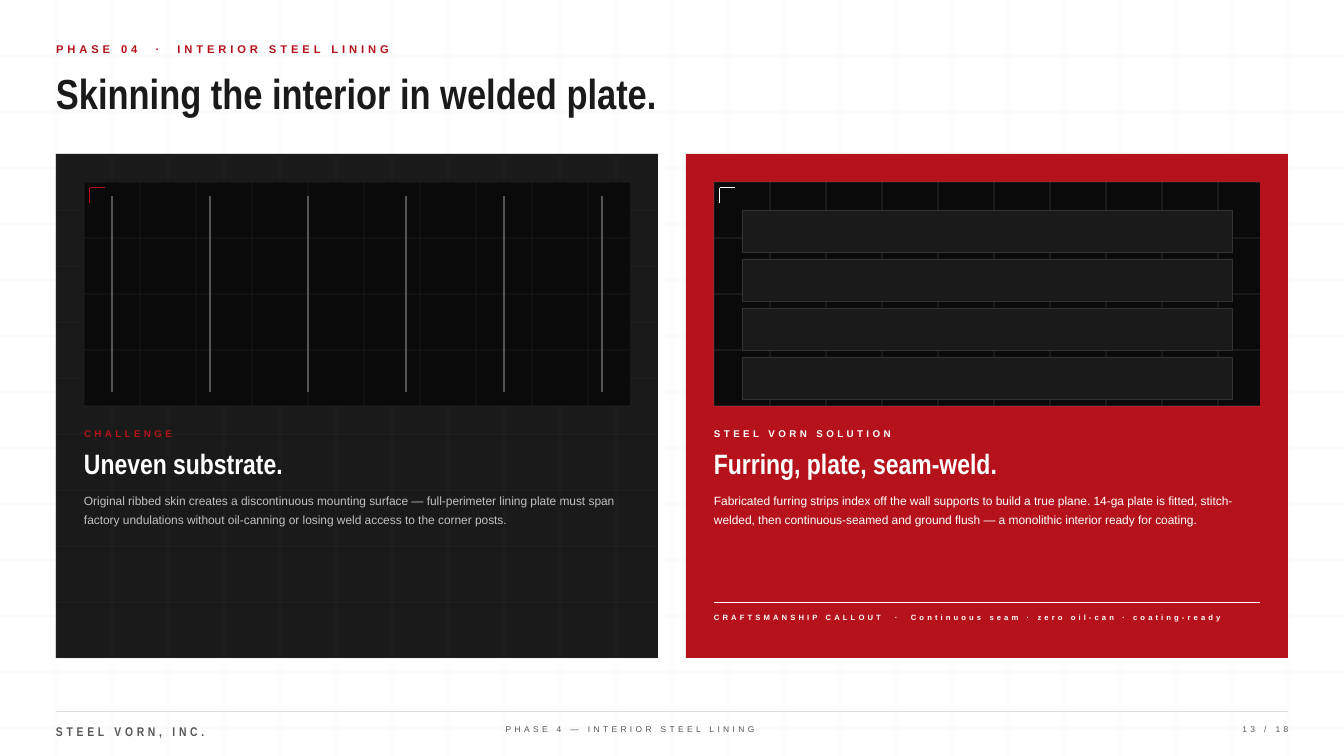
import math
from dataclasses import dataclass
from typing import Callable, NamedTuple

import pptx
import pptx.dml.color
import pptx.enum.shapes
import pptx.enum.text
import pptx.oxml
import pptx.oxml.ns
import pptx.util

Inches = pptx.util.Inches
Pt = pptx.util.Pt
ALIGN = pptx.enum.text.PP_ALIGN


class Style(NamedTuple):
    size: float
    leading: float
    font: str = "Arial"
    bold: bool = False
    tracking: float = 0


@dataclass(frozen=True)
class Theme:
    white: str = "FFFFFF"
    ink: str = "1A1A1A"
    black: str = "0A0A0A"
    red: str = "B5121B"
    steel: str = "555555"
    silver: str = "C0C0C0"
    plate_edge: str = "333333"
    paper_grid: str = "EEEEEE"
    rule: str = "DDDDDD"
    eyebrow: Style = Style(12, 16.8, bold=True, tracking=4.2)
    title: Style = Style(45, 63, "Arial Narrow", True)
    tag: Style = Style(10.5, 14.7, bold=True, tracking=3.68)
    heading: Style = Style(30, 31.5, "Arial Narrow", True)
    body: Style = Style(12.75, 19.76)
    callout: Style = Style(8.25, 11.55, bold=True, tracking=3.3)
    company: Style = Style(13.5, 18.9, "Arial Narrow", True, 4.05)
    footer: Style = Style(9, 12.6, tracking=3.6)


class Box(NamedTuple):
    x: float
    y: float
    w: float
    h: float


class Panel(NamedTuple):
    x: float
    fill: str
    grid: str
    grid_alpha: int
    accent: str
    body_color: str
    tag_width: float
    tag: str
    heading: str
    body: str


THEME = Theme()
SLIDE_W, SLIDE_H = 20, 11.25
STEP = 5 / 6  # grid module that all the layout follows
MARGIN = STEP
PAD = STEP / 2
PANEL_TOP, PANEL_W, PANEL_H = 2.75 * STEP, 10.75 * STEP, 9 * STEP
INNER_TOP = PANEL_TOP + PAD
INNER_W, INNER_H = PANEL_W - 2 * PAD, 4 * STEP

PANELS = (
    Panel(MARGIN, THEME.ink, THEME.steel, 28, THEME.red, THEME.silver, 3.12,
          "CHALLENGE", "Uneven substrate.",
          "Original ribbed skin creates a discontinuous mounting surface — full-perimeter "
          "lining plate must span factory undulations without oil-canning or losing weld "
          "access to the corner posts."),
    Panel(MARGIN + PANEL_W + PAD, THEME.red, THEME.white, 18, THEME.white, THEME.white, 4.17,
          "STEEL VORN SOLUTION", "Furring, plate, seam-weld.",
          "Fabricated furring strips index off the wall supports to build a true plane. "
          "14-ga plate is fitted, stitch-welded, then continuous-seamed and ground flush — "
          "a monolithic interior ready for coating."),
)


def rgb(color: str) -> pptx.dml.color.RGBColor:
    return pptx.dml.color.RGBColor.from_string(color)


def add_line(s, x1: float, y1: float, x2: float, y2: float, color: str,
             width: float = 0.75, alpha: int = 100) -> None:
    cx = s.shapes.add_connector(pptx.enum.shapes.MSO_CONNECTOR.STRAIGHT,
                                Inches(x1), Inches(y1), Inches(x2), Inches(y2))
    cx.line.color.rgb = rgb(color)
    cx.line.width = Pt(width)
    sp_pr = cx._element.spPr
    ns = pptx.oxml.ns.nsdecls("a")
    if alpha < 100:
        clr = next(sp_pr.iter(pptx.oxml.ns.qn("a:srgbClr")))
        clr.append(pptx.oxml.parse_xml(f'<a:alpha {ns} val="{alpha * 1000}"/>'))
    sp_pr.append(pptx.oxml.parse_xml(f"<a:effectLst {ns}/>"))


def add_rect(s, box: Box, fill: str, edge: str = "") -> None:
    sp = s.shapes.add_shape(pptx.enum.shapes.MSO_SHAPE.RECTANGLE, *map(Inches, box))
    sp.shadow.inherit = False
    sp.fill.solid()
    sp.fill.fore_color.rgb = rgb(fill)
    if edge:
        sp.line.color.rgb = rgb(edge)
        sp.line.width = Pt(0.75)
    else:
        sp.line.fill.background()


def add_text(s, box: Box, text: str, style: Style, color: str,
             align: ALIGN = ALIGN.LEFT, lead: str = "") -> None:
    """Add one paragraph; a lead is set off from the text by a widely spaced dot."""
    sp = s.shapes.add_textbox(*map(Inches, box))
    tf = sp.text_frame
    tf.word_wrap = True
    tf.auto_size = pptx.enum.text.MSO_AUTO_SIZE.SHAPE_TO_FIT_TEXT
    tf.margin_left = tf.margin_right = tf.margin_top = tf.margin_bottom = 0
    p = tf.paragraphs[0]
    p.alignment = align
    p.line_spacing = Pt(style.leading)
    parts = [(text, style.tracking)]
    if lead:
        wide = 2 * style.tracking + 0.28 * style.size
        parts = [(lead, style.tracking), (" ·", wide), (f" {text}", style.tracking)]
    for part, tracking in parts:
        r = p.add_run()
        r.text = part
        r.font.size = Pt(style.size)
        r.font.name = style.font
        r.font.bold = style.bold
        r.font.color.rgb = rgb(color)
        if tracking:
            r._r.get_or_add_rPr().set("spc", str(round(tracking * 100)))


def add_grid(s, box: Box, color: str, alpha: int, edges: bool = True) -> None:
    """Rule a box every STEP from its top left, with or without lines on its edges."""
    def offsets(length: float) -> list[float]:
        n = length / STEP
        span = range(math.floor(n + 0.05) + 1) if edges else range(1, math.ceil(n - 0.05))
        return [i * STEP for i in span]

    for dx in offsets(box.w):
        add_line(s, box.x + dx, box.y, box.x + dx, box.y + box.h, color, alpha=alpha)
    for dy in offsets(box.h):
        add_line(s, box.x, box.y + dy, box.x + box.w, box.y + dy, color, alpha=alpha)


def add_ribs(s, x: float) -> None:
    top = INNER_TOP + PAD / 2
    for i in range(6):
        rib = x + PAD + i * 1.75 * STEP
        add_line(s, rib, top, rib, top + 3.5 * STEP, THEME.steel, 2.25)


def add_plates(s, x: float) -> None:
    for i in range(4):
        y = INNER_TOP + PAD + i * 0.875 * STEP
        add_rect(s, Box(x + PAD, y, 8.75 * STEP, 0.75 * STEP), THEME.ink, THEME.plate_edge)


def add_corner_mark(s, x: float, y: float, color: str) -> None:
    add_line(s, x, y, x + 0.23, y, color, 1.5)
    add_line(s, x, y, x, y + 0.23, color, 1.5)


def add_panel(s, panel: Panel, add_drawing: Callable) -> None:
    x = panel.x + PAD
    inner = Box(x, INNER_TOP, INNER_W, INNER_H)
    add_rect(s, inner, THEME.black)
    add_grid(s, inner, panel.grid, panel.grid_alpha)
    add_drawing(s, x)
    add_corner_mark(s, x + STEP / 10, INNER_TOP + STEP / 10, panel.accent)
    add_text(s, Box(x, 6.33, panel.tag_width, 0.19), panel.tag, THEME.tag, panel.accent)
    add_text(s, Box(x, 6.71, INNER_W, 0.46), panel.heading, THEME.heading, THEME.white)
    add_text(s, Box(x, 7.29, INNER_W, 0.52), panel.body, THEME.body, panel.body_color)


def add_footer(s) -> None:
    add_line(s, MARGIN, 10.58, SLIDE_W - MARGIN, 10.58, THEME.rule)
    add_text(s, Box(MARGIN, 10.73, 4.17, 0.24), "STEEL VORN, INC.", THEME.company, THEME.steel)
    add_text(s, Box(5.21, 10.75, 8.33, 0.16), "PHASE 4 — INTERIOR STEEL LINING",
             THEME.footer, THEME.steel, ALIGN.CENTER)
    add_text(s, Box(17.29, 10.75, 1.88, 0.16), "13 / 18", THEME.footer, THEME.steel, ALIGN.RIGHT)


def main() -> None:
    prs = pptx.Presentation()
    prs.slide_width, prs.slide_height = Inches(SLIDE_W), Inches(SLIDE_H)
    s = prs.slides.add_slide(prs.slide_layouts[6])
    s.background.fill.solid()
    s.background.fill.fore_color.rgb = rgb(THEME.white)

    add_grid(s, Box(0, 0, SLIDE_W, SLIDE_H), THEME.paper_grid, 55, edges=False)
    add_text(s, Box(MARGIN, 0.59, 9.38, 0.23), "INTERIOR STEEL LINING",
             THEME.eyebrow, THEME.red, lead="PHASE 04")
    add_text(s, Box(MARGIN, 0.88, 16.67, 0.83), "Skinning the interior in welded plate.",
             THEME.title, THEME.ink)

    challenge, solution = PANELS
    for panel in PANELS:
        area = Box(panel.x, PANEL_TOP, PANEL_W, PANEL_H)
        add_rect(s, area, panel.fill)
        if panel is challenge:
            add_grid(s, area, THEME.steel, 20)
    add_panel(s, challenge, add_ribs)
    add_panel(s, solution, add_plates)

    x, rule_y = solution.x + PAD, 10.75 * STEP
    add_text(s, Box(x, 9.09, INNER_W, 0.16), "Continuous seam · zero oil-can · coating-ready",
             THEME.callout, THEME.white, lead="CRAFTSMANSHIP CALLOUT")
    add_line(s, x, rule_y, x + INNER_W, rule_y, THEME.white)
    add_footer(s)
    prs.save("out.pptx")


if __name__ == "__main__":
    main()
